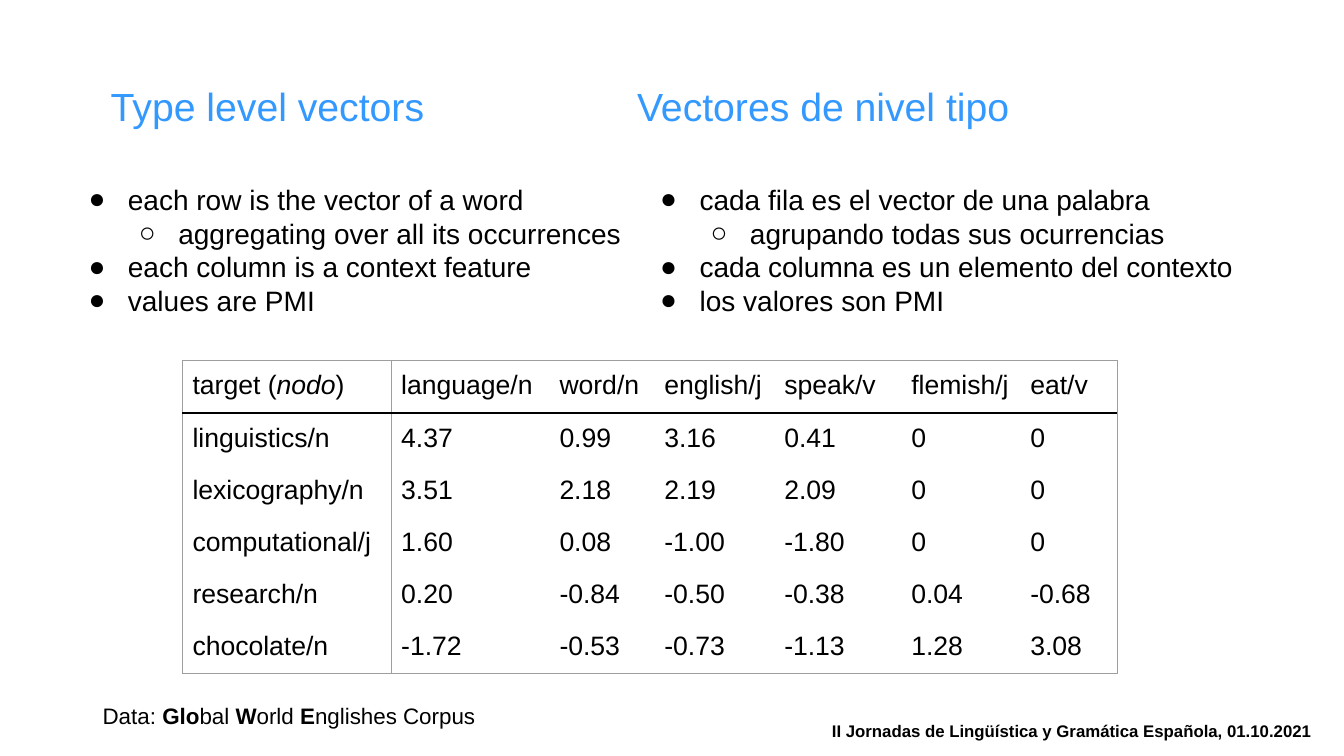
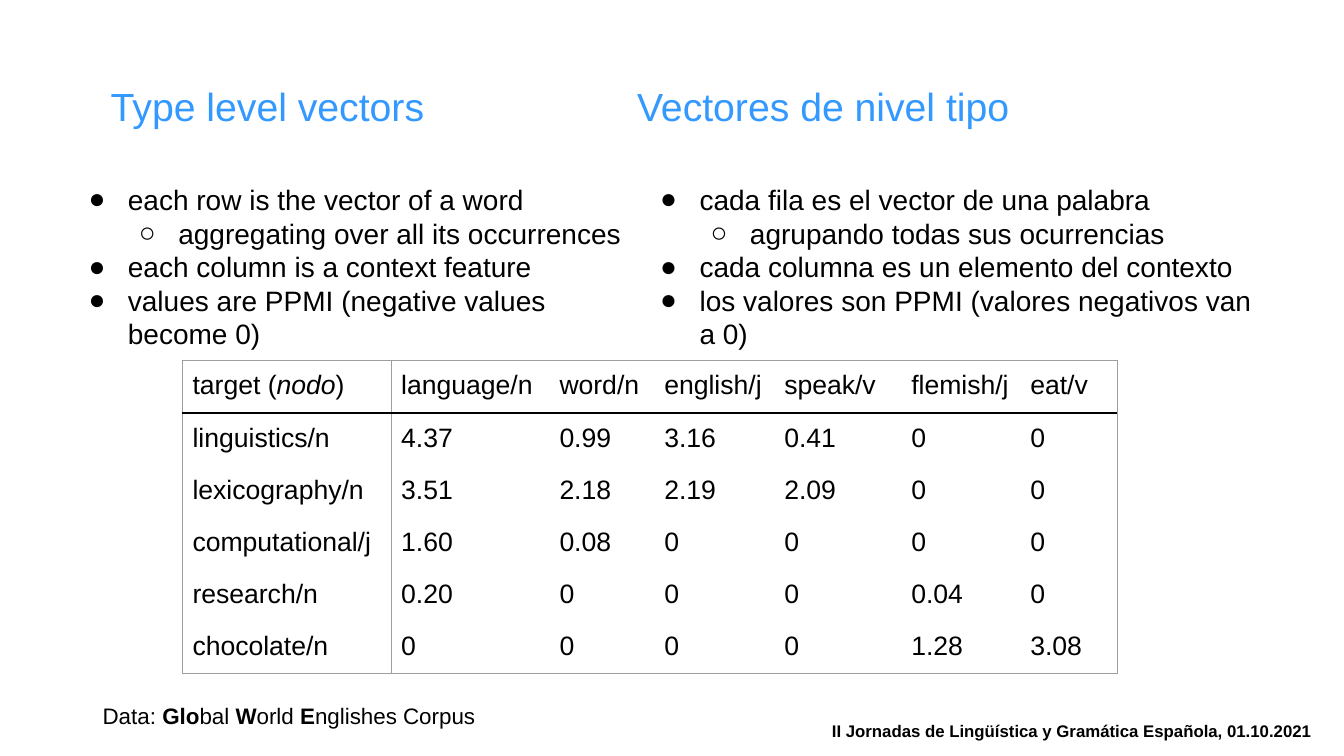
from lxml.etree import SubElement
from pptx import Presentation
from pptx.dml.color import RGBColor
from pptx.enum.text import MSO_ANCHOR, PP_ALIGN
from pptx.oxml import parse_xml
from pptx.oxml.ns import nsdecls, qn
from pptx.util import Pt

PX = 9144  # EMU per px, 100 px to the inch
FONT = "Arial"
COLORS = {"title": "3399FF", "text": "000000", "grid": "9E9E9E"}

# Content: text pieces are (text, style), style "" / "b" / "i"
FOOTER = "II Jornadas de Lingüística y Gramática Española, 01.10.2021"
DATA_SOURCE = [("Data: ", ""), ("Glo", "b"), ("bal ", ""), ("W", "b"),
               ("orld ", ""), ("E", "b"), ("nglishes Corpus", "")]
LANGUAGES = [
    {"title": "Type level vectors", "title_box": (100, 42, 567, 125),
     "list_left": 67, "list_width": 567,
     "points": [(0, "each row is the vector of a word"),
                (1, "aggregating over all its occurrences"),
                (0, "each column is a context feature")]},
    {"title": "Vectores de nivel tipo", "title_box": (622, 42, 594, 125),
     "list_left": 634, "list_width": 620,
     "points": [(0, "cada fila es el vector de una palabra"),
                (1, "agrupando todas sus ocurrencias"),
                (0, "cada columna es un elemento del contexto")]},
]
HEADER = ["target (nodo)", "language/n", "word/n", "english/j", "speak/v", "flemish/j", "eat/v"]
HEADER_PIECES = [("target (", ""), ("nodo", "i"), (")", "")]
PMI = [
    ["linguistics/n", "4.37", "0.99", "3.16", "0.41", "0", "0"],
    ["lexicography/n", "3.51", "2.18", "2.19", "2.09", "0", "0"],
    ["computational/j", "1.60", "0.08", "-1.00", "-1.80", "0", "0"],
    ["research/n", "0.20", "-0.84", "-0.50", "-0.38", "0.04", "-0.68"],
    ["chocolate/n", "-1.72", "-0.53", "-0.73", "-1.13", "1.28", "3.08"],
]
PPMI = [["0" if value.startswith("-") else value for value in row] for row in PMI]
SLIDES = [
    {"values": PMI, "list_height": 155,
     "last_points": ["values are PMI", "los valores son PMI"]},
    {"values": PPMI, "list_height": 189,
     "last_points": ["values are PPMI (negative values become 0)",
                     "los valores son PPMI (valores negativos van a 0)"]},
]
COLUMN_WIDTHS = [207, 157, 104, 119, 126, 118, 96]
TABLE_LEFT, TABLE_TOP, TABLE_HEIGHT = 181, 358, 310


def px(*lengths):
    return [length * PX for length in lengths]


def write(paragraph, pieces, size, color="text", bold=None):
    font = paragraph.font
    font.name, font.size, font.bold = FONT, Pt(size), bold
    font.color.rgb = RGBColor.from_string(COLORS[color])
    for text, style in pieces:
        run = paragraph.add_run()
        run.text = text
        if style == "b":
            run.font.bold = True
        elif style == "i":
            run.font.italic = True


def add_frame(slide, box, margin=5, anchor=MSO_ANCHOR.TOP):
    frame = slide.shapes.add_textbox(*px(*box)).text_frame
    frame.word_wrap = True
    frame.vertical_anchor = anchor
    frame.margin_left = frame.margin_right = 10 * PX
    frame.margin_top = frame.margin_bottom = margin * PX
    return frame


def set_bullet(paragraph, level):
    paragraph.level = level
    properties = paragraph._p.get_or_add_pPr()
    properties.set("marL", str(50 * (level + 1) * PX))
    properties.set("indent", str(-39 * PX))
    color = SubElement(properties, qn("a:buClr"))
    SubElement(color, qn("a:srgbClr")).set("val", COLORS["text"])
    SubElement(properties, qn("a:buFont")).set("typeface", FONT)
    SubElement(properties, qn("a:buChar")).set("char", "●○"[level])


def add_list(slide, box, points):
    frame = add_frame(slide, box, margin=10)
    for index, (level, text) in enumerate(points):
        paragraph = frame.add_paragraph() if index else frame.paragraphs[0]
        set_bullet(paragraph, level)
        write(paragraph, [(text, "")], 20)


def set_borders(cell, borders):
    """Draw the sides named in borders; hide the others."""
    properties = cell._tc.get_or_add_tcPr()
    for position, side in enumerate("LRTB"):
        color, width = borders.get(side, (None, 0))
        fill = (f'<a:solidFill><a:srgbClr val="{COLORS[color]}"/></a:solidFill>'
                if color else "<a:noFill/>")
        line = f'<a:ln{side} {nsdecls("a")} w="{Pt(width)}">{fill}</a:ln{side}>'
        properties.insert(position, parse_xml(line))


def cell_borders(row, column, last_row, last_column):
    thin, rule = ("grid", 0.75), ("text", 1.5)
    borders = {}
    if column <= 1:
        borders["L"] = thin
    if column in (0, last_column):
        borders["R"] = thin
    if row <= 1:
        borders["T"] = rule if row else thin
    if row in (0, last_row):
        borders["B"] = thin if row else rule
    return borders


def add_vector_table(slide, values):
    rows = [HEADER] + values
    box = px(TABLE_LEFT, TABLE_TOP, sum(COLUMN_WIDTHS), TABLE_HEIGHT)
    table = slide.shapes.add_table(len(rows), len(HEADER), *box).table
    table.first_row = table.horz_banding = False
    for column, width in zip(table.columns, COLUMN_WIDTHS):
        column.width = width * PX
    for r, row in enumerate(rows):
        for c, text in enumerate(row):
            cell = table.cell(r, c)
            cell.margin_left = cell.margin_right = 10 * PX
            cell.margin_top = cell.margin_bottom = 10 * PX
            cell.fill.background()
            set_borders(cell, cell_borders(r, c, len(rows) - 1, len(row) - 1))
            pieces = HEADER_PIECES if r == c == 0 else [(text, "")]
            write(cell.text_frame.paragraphs[0], pieces, 19)


def add_shared_parts(slide):
    # Titles
    for language in LANGUAGES:
        title = add_frame(slide, language["title_box"], anchor=MSO_ANCHOR.MIDDLE)
        write(title.paragraphs[0], [(language["title"], "")], 28, "title")
    # Footer and data source
    footer = add_frame(slide, (789, 700, 522, 50), anchor=MSO_ANCHOR.MIDDLE).paragraphs[0]
    footer.alignment = PP_ALIGN.RIGHT
    write(footer, [(FOOTER, "")], 12, bold=True)
    source = add_frame(slide, (92, 692, 667, 37))
    write(source.paragraphs[0], DATA_SOURCE, 16)


def main():
    deck = Presentation()
    deck.slide_width, deck.slide_height = px(1333, 750)
    for content in SLIDES:
        slide = deck.slides.add_slide(deck.slide_layouts[6])
        add_shared_parts(slide)
        add_vector_table(slide, content["values"])
        # Bullet lists, one per language
        for language, last_point in zip(LANGUAGES, content["last_points"]):
            box = (language["list_left"], 171, language["list_width"], content["list_height"])
            add_list(slide, box, language["points"] + [(0, last_point)])
    deck.save("out.pptx")


if __name__ == "__main__":
    main()
